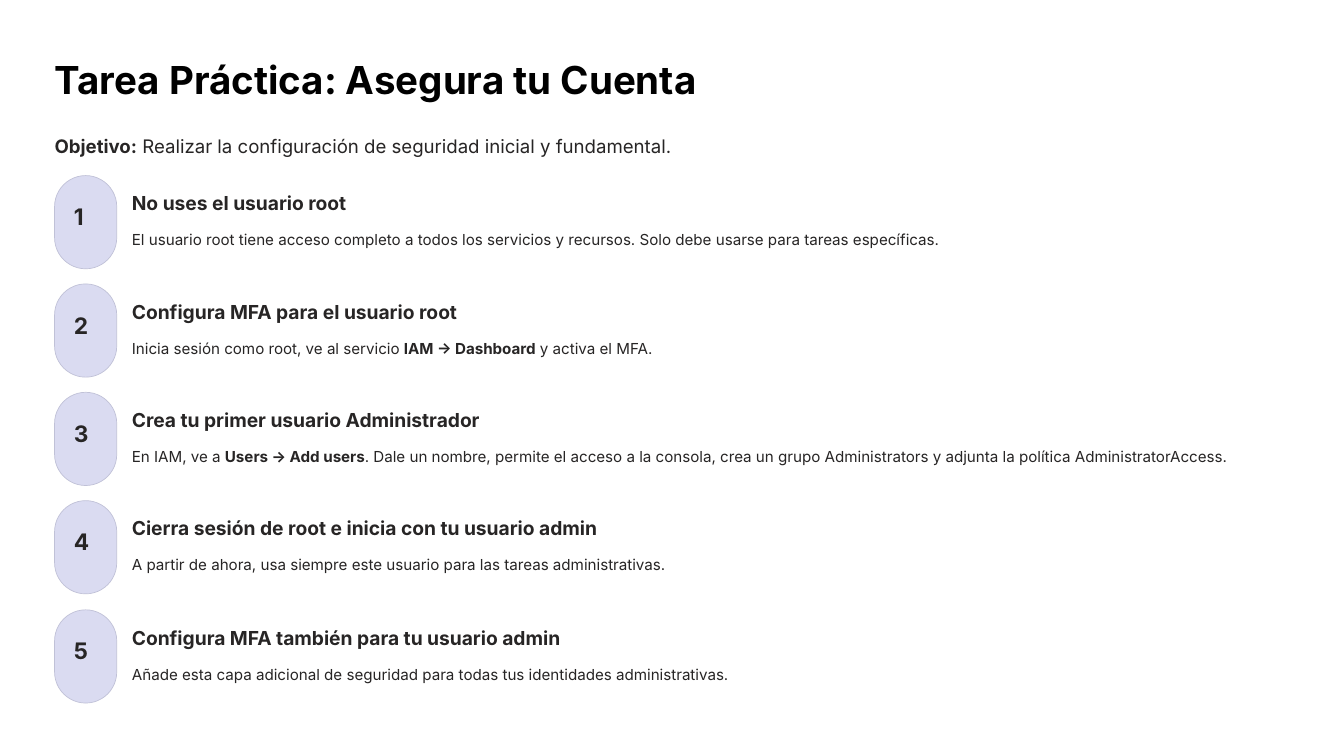
from pptx import Presentation as Deck
from pptx.dml.color import RGBColor
from pptx.enum.shapes import MSO_SHAPE as Preset
from pptx.util import Emu, Pt

PX = 9144  # EMU per px, 100 px to the inch

BLACK = RGBColor(0x00, 0x00, 0x00)
INK = RGBColor(0x27, 0x25, 0x25)
LAVENDER = RGBColor(0xDA, 0xDB, 0xF1)
OUTLINE = RGBColor(0xC0, 0xC1, 0xD7)

# Text styles: font values and line spacing in points
TITLE = ({"size": Pt(33), "color": BLACK}, 41.5)
GOAL = ({"size": Pt(16), "color": INK}, 21)
NUMBER = ({"size": Pt(19.5), "color": INK}, 19.5)
HEADING = ({"size": Pt(16.5), "color": INK}, 20.5)
BODY = ({"size": Pt(13), "color": INK}, 21)

LEFT = 65
TEXT_LEFT = 157
TEXT_WIDTH = 1378
FIRST_TOP, LAST_TOP = 209, 726

# Each step: heading, heading width, spans as (text, bold)
STEPS = [
    ("No uses el usuario root", 258,
     [("El usuario root tiene acceso completo a todos los servicios y recursos. "
       "Solo debe usarse para tareas específicas.", False)]),
    ("Configura MFA para el usuario root", 391,
     [("Inicia sesión como root, ve al servicio ", False),
      ("IAM -> Dashboard", True),
      (" y activa el MFA.", False)]),
    ("Crea tu primer usuario Administrador", 418,
     [("En IAM, ve a ", False),
      ("Users -> Add users", True),
      (". Dale un nombre, permite el acceso a la consola, crea un grupo "
       "Administrators y adjunta la política AdministratorAccess.", False)]),
    ("Cierra sesión de root e inicia con tu usuario admin", 560,
     [("A partir de ahora, usa siempre este usuario para las tareas "
       "administrativas.", False)]),
    ("Configura MFA también para tu usuario admin", 516,
     [("Añade esta capa adicional de seguridad para todas tus identidades "
       "administrativas.", False)]),
]


def px(*lengths):
    return [Emu(length * PX) for length in lengths]


def add_text(page, place, spans, style):
    values, spacing = style
    frame = page.shapes.add_textbox(*px(*place)).text_frame
    frame_format = {"margin_left": 0, "margin_top": 0, "margin_right": 0,
                    "margin_bottom": 0, "word_wrap": False}
    for name, value in frame_format.items():
        setattr(frame, name, value)
    para = frame.paragraphs[0]
    para.line_spacing = Pt(spacing)
    for text, bold in spans:
        span = para.add_run()
        span.text = text
        font_format = {"name": "Inter", "size": values["size"], "bold": bold}
        for name, value in font_format.items():
            setattr(span.font, name, value)
        span.font.color.rgb = values["color"]


def add_pill(page, top):
    pill = page.shapes.add_shape(Preset.ROUNDED_RECTANGLE, *px(LEFT, top, 74, 111))
    pill.adjustments[0] = 0.5
    pill.shadow.inherit = False
    pill.fill.solid()
    pill.fill.fore_color.rgb = LAVENDER
    pill.line.color.rgb = OUTLINE
    pill.line.width = Pt(0.6)


def add_step(page, top, number, heading, heading_width, spans):
    add_pill(page, top)
    add_text(page, (88, top + 38, 28, 35), [(str(number), True)], NUMBER)
    add_text(page, (TEXT_LEFT, top + 18, heading_width, 29), [(heading, True)], HEADING)
    add_text(page, (TEXT_LEFT, top + 58, TEXT_WIDTH, 30), spans, BODY)


def main():
    deck = Deck()
    deck.slide_width, deck.slide_height = px(1600, 900)
    page = deck.slides.add_slide(deck.slide_layouts[6])

    # Title and goal
    add_text(page, (LEFT, 64, 770, 58), [("Tarea Práctica: Asegura tu Cuenta", True)], TITLE)
    add_text(page, (LEFT, 158, 1471, 30),
             [("Objetivo:", True),
              (" Realizar la configuración de seguridad inicial y fundamental.", False)],
             GOAL)

    # Numbered steps, evenly spread
    for index, step in enumerate(STEPS):
        top = FIRST_TOP + index * (LAST_TOP - FIRST_TOP) // (len(STEPS) - 1)
        add_step(page, top, index + 1, *step)

    deck.save("out.pptx")


if __name__ == "__main__":
    main()
